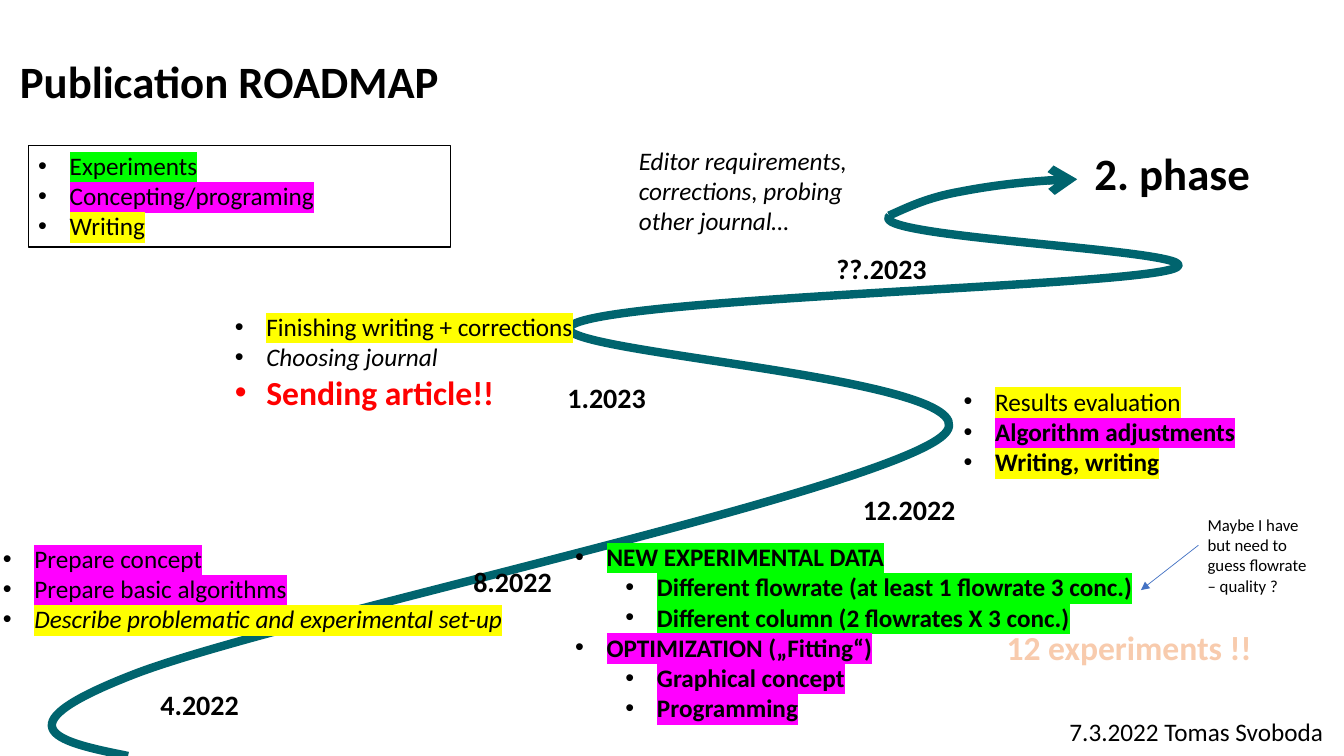
import math

from lxml import etree
from pptx import Presentation
from pptx.dml.color import RGBColor
from pptx.enum import shapes, text
from pptx.oxml import ns
from pptx.util import Pt

BLACK = RGBColor(0x00, 0x00, 0x00)
WHITE = RGBColor(0xFF, 0xFF, 0xFF)
RED = RGBColor(0xFF, 0x00, 0x00)
TEAL = RGBColor(0x00, 0x64, 0x6E)
BLUE = RGBColor(0x44, 0x72, 0xC4)
PEACH = RGBColor(0xF8, 0xCB, 0xAD)
ORANGE = RGBColor(0xED, 0x7D, 0x31)
GREEN = RGBColor(0x00, 0xFF, 0x00)      # experiments
MAGENTA = RGBColor(0xFF, 0x00, 0xFF)    # concepting and programming
YELLOW = RGBColor(0xFF, 0xFF, 0x00)     # writing

# Content: boxes are (left, top, width, height) in points
TITLE = ("Publication ROADMAP", (7, 35, 574.5, 46))
LEGEND_BOX = (20.2, 103.8, 301.7, 72.7)
LEGEND = [
    ("Experiments", dict(highlight=GREEN)),
    ("Concepting/programing", dict(highlight=MAGENTA)),
    ("Writing", dict(highlight=YELLOW)),
]
STAGES = [
    ((-5, 384.5, 381.5, 72.7), [
        ("Prepare concept", dict(highlight=MAGENTA)),
        ("Prepare basic algorithms", dict(highlight=MAGENTA)),
        ("Describe problematic and experimental set-up", dict(highlight=YELLOW, italic=True)),
    ]),
    ((403.7, 383.2, 427.7, 138.2), [
        ("NEW EXPERIMENTAL DATA", dict(highlight=GREEN, bold=True)),
        ("Different flowrate (at least 1 flowrate 3 conc.)",
         dict(highlight=GREEN, bold=True, level=1)),
        ("Different column (2 flowrates X 3 conc.)", dict(highlight=GREEN, bold=True, level=1)),
        ("OPTIMIZATION („Fitting“)", dict(highlight=MAGENTA, bold=True)),
        ("Graphical concept", dict(highlight=MAGENTA, bold=True, level=1)),
        ("Programming", dict(highlight=MAGENTA, bold=True, level=1)),
    ]),
    ((681.3, 272.2, 213.8, 116.6), [
        ("Results evaluation", dict(highlight=YELLOW)),
        ("Algorithm adjustments", dict(highlight=MAGENTA, bold=True)),
        ("Writing, writing", dict(highlight=YELLOW, bold=True)),
    ]),
    ((160.7, 218.8, 420.5, 101.5), [
        ("Finishing writing + corrections", dict(highlight=YELLOW)),
        ("Choosing journal", dict(italic=True)),
        ("Sending article!!", dict(size=24, color=RED, bold=True)),
    ]),
]
DATE = dict(size=20, bold=True)
EDITOR_NOTE = ("Editor requirements, corrections, probing other journal…", (449.3, 100, 200.9, 72.7))
EDITOR_RIGHT_MARGIN = 23
LABELS = [
    ("2. phase", (774.7, 100.3, 134.6, 46), dict(size=32, bold=True)),
    ("4.2022", (107.5, 487.5, 76.3, 31.5), DATE),
    ("8.2022", (331, 399.5, 92.2, 31.5), DATE),
    ("12.2022", (609.2, 348, 82, 31.5), DATE),
    ("1.2023", (398.2, 268.5, 82, 31.5), DATE),
    ("??.2023", (590.4, 176.3, 82, 31.5), DATE),
    ("7.3.2022 Tomas Svoboda", (756.8, 508.4, 198.7, 29), {}),
    ("Maybe I have but need to guess flowrate – quality ?",
     (855.5, 364.2, 92.5, 65.5), dict(size=12)),
]
EXPERIMENT_COUNT = ("12 experiments !!", (710.8, 444, 191.5, 36))
NOTE_ARROW = (856, 389.5, 815, 421.5)

# Bézier chains: a start, then two controls and an end for each bend
ROAD_BOX = (36.5, 154, 805, 386)
ROAD = [(91.5, 540),
        (44, 530.5), (-3.5, 520.5), (93.5, 482.5),
        (190, 444), (620, 353.5), (672.5, 312),
        (725, 270), (380, 252), (408, 232.5),
        (435.5, 212.5), (800, 205), (838, 192),
        (876, 179), (615.5, 170.5), (635.5, 154)]
ROAD_END_BOX, ROAD_END_TURN = (639.5, 115, 126, 52.5), 11.9
ROAD_END = [(635, 154),
            (649.5, 147.5), (663, 141), (685.5, 137),
            (708.5, 132.5), (748, 128), (769.5, 128)]
INDENT, LEVEL_STEP = 22.5, 36


def add_element(parent, tag, **attributes):
    return etree.SubElement(parent, ns.qn(tag), attributes)


def add_text(frame, content, size=18, color=BLACK, bold=False, italic=False, highlight=None,
             bullet=False, level=0, align=text.PP_ALIGN.LEFT, outline=None):
    """Write one paragraph, using the frame's first one while it is empty."""
    paragraph = frame.paragraphs[0] if not frame.text else frame.add_paragraph()
    paragraph.alignment = align
    paragraph.level = level
    if bullet:
        properties = paragraph._p.get_or_add_pPr()
        properties.set("marL", str(Pt(INDENT + level * LEVEL_STEP)))
        properties.set("indent", str(-Pt(INDENT)))
        add_element(properties, "a:buFont", typeface="Arial")
        add_element(properties, "a:buChar", char="•")
    run = paragraph.add_run()
    run.text = content
    font = run.font
    font.size, font.bold, font.italic = Pt(size), bold, italic
    font.color.rgb = color
    run_properties = run._r.get_or_add_rPr()
    if highlight is not None:
        mark = add_element(run_properties, "a:highlight")
        add_element(mark, "a:srgbClr", val=str(highlight))
    if outline is not None:
        edge = add_element(run_properties, "a:ln", w=str(Pt(1.75)))
        add_element(add_element(edge, "a:solidFill"), "a:srgbClr", val=str(outline))
        run_properties.insert(0, edge)
    font.name = "Calibri"


def add_box(box, wrap=True):
    frame = slide.shapes.add_textbox(*map(Pt, box)).text_frame
    frame.word_wrap = wrap
    return frame


def style_line(shape, color, width, arrowhead=None):
    shape.line.color.rgb = color
    shape.line.width = Pt(width)
    if arrowhead:
        add_element(shape.line._get_or_add_ln(), "a:tailEnd", type=arrowhead)


def add_curve(chain, box, turn=0, arrowhead=None):
    """Draw a Bézier chain in its box; the box is turned about its centre."""
    left, top, width, height = box
    builder = slide.shapes.build_freeform(Pt(left), Pt(top))
    builder.add_line_segments([(Pt(left + width), Pt(top + height))], close=False)
    curve = builder.convert_to_shape()
    curve.rotation = turn
    cosine, sine = math.cos(math.radians(turn)), math.sin(math.radians(turn))
    outline = curve._element.spPr.find(".//" + ns.qn("a:path"))
    for command in list(outline):
        outline.remove(command)
    for index, (x, y) in enumerate(chain):
        if index == 0:
            command = add_element(outline, "a:moveTo")
        elif index % 3 == 1:
            command = add_element(outline, "a:cubicBezTo")
        across, down = x - left - width / 2, y - top - height / 2
        add_element(command, "a:pt",
                    x=str(Pt(width / 2 + across * cosine + down * sine)),
                    y=str(Pt(height / 2 - across * sine + down * cosine)))
    curve.shadow.inherit = False
    curve.fill.background()
    style_line(curve, TEAL, 6, arrowhead)


presentation = Presentation()
presentation.slide_width, presentation.slide_height = Pt(960), Pt(540)
slide = presentation.slides.add_slide(presentation.slide_layouts[5])

# Title
title = slide.shapes.title
title.left, title.top, title.width, title.height = map(Pt, TITLE[1])
title.text_frame.vertical_anchor = text.MSO_ANCHOR.TOP
title.text_frame.auto_size = text.MSO_AUTO_SIZE.NONE
add_text(title.text_frame, TITLE[0], size=32, bold=True)

# Winding road
add_curve(ROAD_END, ROAD_END_BOX, ROAD_END_TURN, arrowhead="arrow")
add_curve(ROAD, ROAD_BOX)

# Stage lists and single labels
for box, items in STAGES:
    stage_frame = add_box(box)
    for content, style in items:
        add_text(stage_frame, content, bullet=True, **style)
editor_frame = add_box(EDITOR_NOTE[1])
editor_frame.margin_right = Pt(EDITOR_RIGHT_MARGIN)
add_text(editor_frame, EDITOR_NOTE[0], italic=True)
for content, box, style in LABELS:
    add_text(add_box(box), content, **style)
add_text(add_box(EXPERIMENT_COUNT[1], wrap=False), EXPERIMENT_COUNT[0], size=24, bold=True,
         color=PEACH, outline=ORANGE, align=text.PP_ALIGN.CENTER)

# Legend
legend = slide.shapes.add_shape(shapes.MSO_SHAPE.RECTANGLE, *map(Pt, LEGEND_BOX))
legend.shadow.inherit = False
legend.fill.solid()
legend.fill.fore_color.rgb = WHITE
style_line(legend, BLACK, 1)
legend.text_frame.vertical_anchor = text.MSO_ANCHOR.TOP
for content, style in LEGEND:
    add_text(legend.text_frame, content, bullet=True, **style)

# Arrow from the quality note to the flowrate line
arrow = slide.shapes.add_connector(shapes.MSO_CONNECTOR.STRAIGHT, *map(Pt, NOTE_ARROW))
style_line(arrow, BLUE, 0.5, "triangle")
add_element(arrow._element.spPr, "a:effectLst")

presentation.save("out.pptx")
